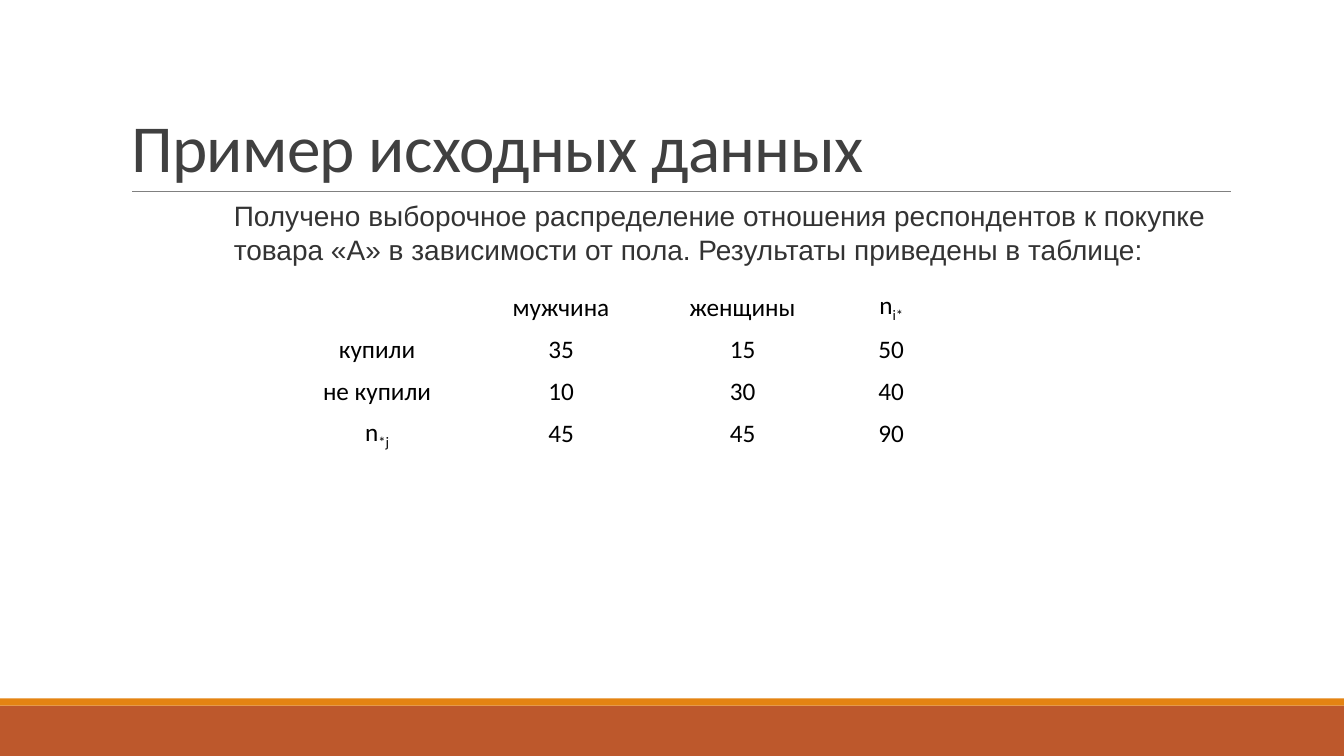
"""Build a slide with a contingency table of purchases by sex."""
import dataclasses
import typing

import pptx
import pptx.dml.color
import pptx.enum.shapes
import pptx.enum.text
import pptx.oxml
import pptx.oxml.ns
import pptx.util

Inches = pptx.util.Inches
Align = pptx.enum.text.PP_ALIGN
Anchor = pptx.enum.text.MSO_ANCHOR

COLORS = {
    "paper": "FFFFFF",
    "rust": "BD582C",
    "orange": "E48312",
    "rule": "808080",
    "title": "404040",
    "body": "333333",
    "table": "000000",
}
PAGE_WIDTH, PAGE_HEIGHT = 13.33, 7.5
COLUMN_WIDTHS = (1.86, 1.79, 1.81, 1.14)
ROW_HEIGHT = 0.41
TABLE_LEFT, TABLE_TOP = 2.81, 2.83


@dataclasses.dataclass(frozen=True)
class Band:
    """A full-width stripe at the foot of the page."""

    top: float
    height: float
    color: str


@dataclasses.dataclass(frozen=True)
class Label:
    """A cell text with an optional subscript."""

    text: str
    subscript: str = ""


BANDS = (Band(7, 0.5, "rust"), Band(6.93, 0.07, "orange"))
ROWS = (
    (Label(""), Label("мужчина"), Label("женщины"), Label("n", "i*")),
    (Label("купили"), Label("35"), Label("15"), Label("50")),
    (Label("не купили"), Label("10"), Label("30"), Label("40")),
    (Label("n", "*j"), Label("45"), Label("45"), Label("90")),
)


def rgb(name: str) -> pptx.dml.color.RGBColor:
    """Return the named colour."""
    return pptx.dml.color.RGBColor.from_string(COLORS[name])


def add_span(para: typing.Any, text: str, *, size: float, font: str, color: str,
             spacing: int = 0, baseline: int = 0) -> None:
    """Add formatted text; spacing is in 1/100 pt, baseline in 1/1000 %."""
    span = para.add_run()
    span.text = text
    span.font.size = pptx.util.Pt(size)
    span.font.name = font
    span.font.color.rgb = rgb(color)
    properties = span.font._element
    if spacing:
        properties.set("spc", str(spacing))
    if baseline:
        properties.set("baseline", str(baseline))


def draw_band(page: typing.Any, band: Band) -> None:
    """Draw one stripe."""
    shape = page.shapes.add_shape(
        pptx.enum.shapes.MSO_SHAPE.RECTANGLE,
        Inches(0), Inches(band.top), Inches(PAGE_WIDTH), Inches(band.height))
    shape.shadow.inherit = False
    shape.fill.solid()
    shape.fill.fore_color.rgb = rgb(band.color)
    shape.line.fill.background()


def draw_rule(page: typing.Any) -> None:
    """Draw the thin line under the title."""
    rule = page.shapes.add_connector(
        pptx.enum.shapes.MSO_CONNECTOR.STRAIGHT,
        Inches(1.31), Inches(1.9), Inches(12.21), Inches(1.9))
    rule.line.color.rgb = rgb("rule")
    rule.line.width = pptx.util.Pt(0.5)
    rule._element.spPr.append(pptx.oxml.parse_xml(
        f"<a:effectLst {pptx.oxml.ns.nsdecls('a')}/>"))


def write_title(page: typing.Any) -> None:
    """Place and fill the title placeholder."""
    title = page.shapes.title
    title.left, title.top = Inches(1.2), Inches(0.31)
    title.width, title.height = Inches(11), Inches(1.59)
    frame = title.text_frame
    frame.auto_size = pptx.enum.text.MSO_AUTO_SIZE.NONE
    frame.vertical_anchor = Anchor.BOTTOM
    para = frame.paragraphs[0]
    para.alignment = Align.LEFT
    para.line_spacing = 0.85
    add_span(para, "Пример исходных данных", size=48, font="Calibri",
             color="title", spacing=-50)


def draw_table(page: typing.Any) -> None:
    """Draw the table of counts with its totals."""
    table = page.shapes.add_table(
        len(ROWS), len(COLUMN_WIDTHS), Inches(TABLE_LEFT), Inches(TABLE_TOP),
        Inches(sum(COLUMN_WIDTHS)), Inches(ROW_HEIGHT * len(ROWS))).table
    table.first_row = False
    table.horz_banding = False
    for column, width in zip(table.columns, COLUMN_WIDTHS):
        column.width = Inches(width)
    for row, labels in zip(table.rows, ROWS):
        row.height = Inches(ROW_HEIGHT)
        for cell, label in zip(row.cells, labels):
            cell.fill.solid()
            cell.fill.fore_color.rgb = rgb("paper")
            cell.vertical_anchor = Anchor.MIDDLE
            para = cell.text_frame.paragraphs[0]
            para.alignment = Align.CENTER
            for text, baseline in ((label.text, 0), (label.subscript, -25000)):
                if text:
                    add_span(para, text, size=18, font="Calibri",
                             color="table", baseline=baseline)


def write_introduction(page: typing.Any) -> None:
    """Write the paragraph above the table."""
    box = page.shapes.add_textbox(
        Inches(2.22), Inches(1.92), Inches(10.31), Inches(0.8))
    frame = box.text_frame
    frame.word_wrap = True
    add_span(frame.paragraphs[0],
             "Получено выборочное распределение отношения респондентов к покупке "
             "товара «А» в зависимости от пола. Результаты приведены в таблице:",
             size=20, font="Arial", color="body")


def main() -> None:
    """Build and save the deck."""
    deck = pptx.Presentation()
    deck.slide_width, deck.slide_height = Inches(PAGE_WIDTH), Inches(PAGE_HEIGHT)
    page = deck.slides.add_slide(deck.slide_layouts.get_by_name("Title Only"))
    page.background.fill.solid()
    page.background.fill.fore_color.rgb = rgb("paper")
    for band in BANDS:
        draw_band(page, band)
    draw_rule(page)
    write_title(page)
    draw_table(page)
    write_introduction(page)
    deck.save("out.pptx")


if __name__ == "__main__":
    main()
